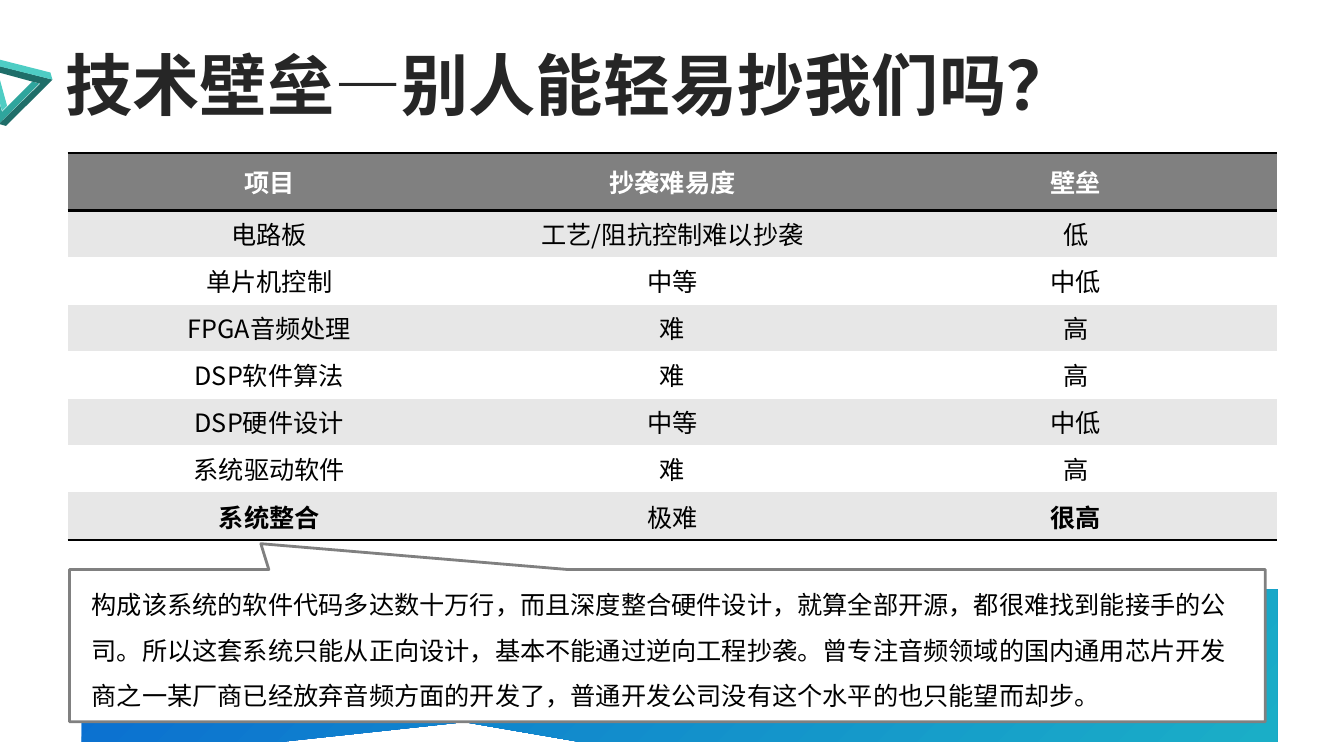
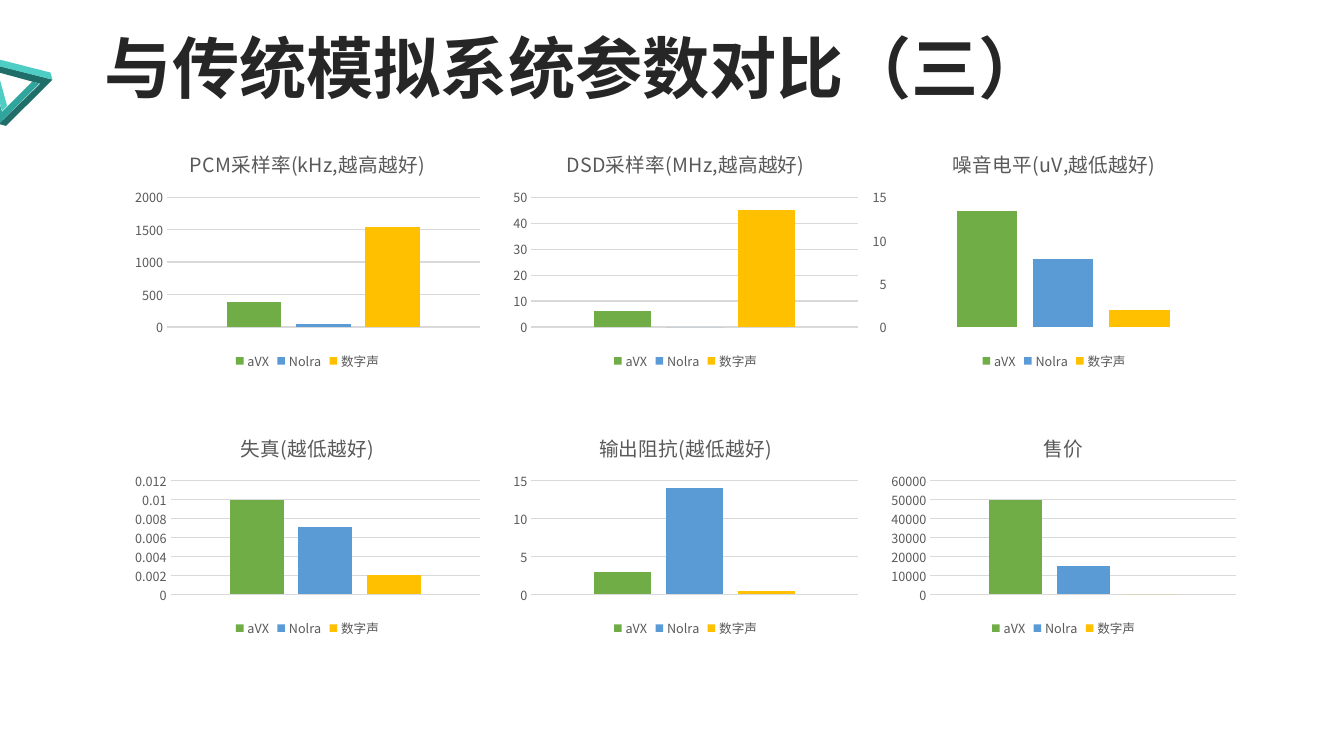
from dataclasses import dataclass

from lxml.etree import SubElement
from pptx import Presentation
from pptx.chart.data import CategoryChartData
from pptx.dml.color import RGBColor
from pptx.enum.chart import XL_CHART_TYPE as ChartType
from pptx.enum.chart import XL_LEGEND_POSITION as LegendPosition
from pptx.enum.chart import XL_TICK_LABEL_POSITION as LabelPosition
from pptx.enum.chart import XL_TICK_MARK as TickMark
from pptx.enum.shapes import MSO_SHAPE as Shape
from pptx.enum.text import MSO_ANCHOR as Anchor
from pptx.enum.text import MSO_AUTO_SIZE as AutoSize
from pptx.enum.text import PP_ALIGN as Align
from pptx.oxml import parse_xml
from pptx.oxml.ns import nsdecls, qn
from pptx.util import Pt

SCALE = 9144
PLAIN_TABLE = "{2D5ABB26-0587-4C30-8999-92F81FD0307C}"


@dataclass(frozen=True)
class Theme:
    """Colours, fonts and type sizes of the deck."""
    ink: str = "000000"
    paper: str = "FFFFFF"
    title: str = "262626"
    header: str = "808080"
    stripe: str = "E7E7E7"
    label: str = "595959"
    grid: str = "D9D9D9"
    emblem: tuple = ("2FA59D", "1F6E69", "4ECDC4")
    gradient: tuple = ("0A6CD1", "1AAEC7")
    series: tuple = ("70AD47", "5B9BD5", "FFC000")
    font: str = "Noto Sans CJK SC"
    title_font: str = "Arial"
    title_size: int = 48
    body_size: int = 18
    chart_title_size: int = 14
    chart_size: int = 10
    label_size: int = 9


THEME = Theme()

EMBLEM = (
    ((-13, 56), (-19, 61), (-1, 123), (39, 83), (32, 81), (2, 111)),
    ((-3, 65), (-1, 72), (32, 81), (40, 83), (-1, 123), (6, 125), (52, 79)),
    ((-13, 56), (2, 110), (7, 105), (-4, 65), (52, 79), (50, 72)),
)

BARRIERS = (
    ("项目", "抄袭难易度", "壁垒"),
    ("电路板", "工艺/阻抗控制难以抄袭", "低"),
    ("单片机控制", "中等", "中低"),
    ("FPGA音频处理", "难", "高"),
    ("DSP软件算法", "难", "高"),
    ("DSP硬件设计", "中等", "中低"),
    ("系统驱动软件", "难", "高"),
    ("系统整合", "极难", "很高"),
)

REMARK = (
    "构成该系统的软件代码多达数十万行，而且深度整合硬件设计，就算全部开源，"
    "都很难找到能接手的公司。所以这套系统只能从正向设计，基本不能通过逆向工程抄袭。"
    "曾专注音频领域的国内通用芯片开发商之一某厂商已经放弃音频方面的开发了，"
    "普通开发公司没有这个水平的也只能望而却步。"
)

MAKERS = ("aVX", "Nolra", "数字声")
COMPARISONS = (
    ("PCM采样率(kHz,越高越好)", (380, 40, 1540), True),
    ("DSD采样率(MHz,越高越好)", (6, 0, 45), True),
    ("噪音电平(uV,越低越好)", (13.4, 7.9, 2), False),
    ("失真(越低越好)", (0.01, 0.0071, 0.002), True),
    ("输出阻抗(越低越好)", (3, 14, 0.5), True),
    ("售价", (50000, 15000, 0), True),
)


def px(*lengths):
    """Turn px lengths into EMU."""
    return [length * SCALE for length in lengths]


def color(code):
    """Turn a hex code into a colour."""
    return RGBColor.from_string(code)


def set_font(font, size, code, bold=False, name=THEME.font):
    """Give a font its size, colour, weight and typefaces."""
    font.size = Pt(size)
    font.bold = bold
    font.color.rgb = color(code)
    font.name = name
    SubElement(font._element, qn("a:ea"), typeface=THEME.font)


def set_text(frame, text, size, code, bold=False, name=THEME.font):
    """Fill a text frame with one formatted paragraph."""
    frame.text = text
    para = frame.paragraphs[0]
    set_font(para.runs[0].font, size, code, bold, name)
    return para


def add_emblem(page):
    """Draw the folded triangle at the left edge."""
    for points, code in zip(EMBLEM, THEME.emblem):
        builder = page.shapes.build_freeform(*points[0], scale=SCALE)
        builder.add_line_segments(points[1:], close=True)
        fold = builder.convert_to_shape()
        fold.shadow.inherit = False
        fold.fill.solid()
        fold.fill.fore_color.rgb = color(code)
        fold.line.fill.background()


def add_page(deck, text, box, name):
    """Add a slide with its title and emblem."""
    page = deck.slides.add_slide(deck.slide_layouts[5])
    title = page.shapes.title
    title.left, title.top, title.width, title.height = px(*box)
    frame = title.text_frame
    frame.word_wrap = True
    frame.auto_size = AutoSize.NONE
    frame.vertical_anchor = Anchor.TOP
    para = set_text(frame, text, THEME.title_size, THEME.title, True, name)
    para.alignment = Align.LEFT
    para.line_spacing = 0.9
    add_emblem(page)
    return page


def add_rules(cell, sides):
    """Draw black rules on the given sides of a cell."""
    properties = cell._tc.get_or_add_tcPr()
    for index, side in enumerate(sides):
        properties.insert(index, parse_xml(
            f'<a:ln{side} {nsdecls("a")} w="{Pt(2)}"><a:solidFill>'
            f'<a:srgbClr val="{THEME.ink}"/></a:solidFill></a:ln{side}>'))


def add_barrier_table(page, box, header_height):
    """Place the striped table of copying barriers."""
    count = len(BARRIERS)
    table = page.shapes.add_table(count, len(BARRIERS[0]), *px(*box)).table
    table._tbl.tblPr.find(qn("a:tableStyleId")).text = PLAIN_TABLE
    body_height = box[3] - header_height
    edges = [0] + [header_height + body_height * step // (count - 1)
                   for step in range(count)]
    for index, texts in enumerate(BARRIERS):
        is_header, is_last = index == 0, index == count - 1
        table.rows[index].height = (edges[index + 1] - edges[index]) * SCALE
        fill = THEME.header if is_header else (THEME.paper, THEME.stripe)[index % 2]
        for column, text in enumerate(texts):
            cell = table.cell(index, column)
            cell.vertical_anchor = Anchor.MIDDLE
            cell.fill.solid()
            cell.fill.fore_color.rgb = color(fill)
            add_rules(cell, "TB" if is_header else "B" if is_last else "")
            bold = is_header or (is_last and column != 1)
            code = THEME.paper if is_header else THEME.ink
            para = set_text(cell.text_frame, text, THEME.body_size, code, bold)
            para.alignment = Align.CENTER


def add_callout(page, box, tip):
    """Add a rectangular callout pointing to a tip."""
    callout = page.shapes.add_shape(Shape.RECTANGULAR_CALLOUT, *px(*box))
    callout.shadow.inherit = False
    callout.adjustments[0], callout.adjustments[1] = tip
    return callout


def add_remark(page, box):
    """Place the remark callout over its gradient backing."""
    left, top, width, height = box
    backing = add_callout(page, (left + 12, top + 20, width, height), (-0.18, 0.37))
    backing.line.fill.background()
    backing.fill.gradient()
    backing.fill.gradient_angle = 315
    for stop, code, position in zip(backing.fill.gradient_stops, THEME.gradient, (0.02, 1)):
        stop.color.rgb = color(code)
        stop.position = position
    remark = add_callout(page, box, (-0.34, -0.67))
    remark.fill.solid()
    remark.fill.fore_color.rgb = color(THEME.paper)
    remark.line.color.rgb = color(THEME.header)
    remark.line.width = Pt(2)
    frame = remark.text_frame
    frame.word_wrap = True
    frame.vertical_anchor = Anchor.TOP
    frame.margin_left, frame.margin_right, frame.margin_top = px(22, 29, 5)
    para = set_text(frame, REMARK, THEME.body_size, THEME.ink)
    para.alignment = Align.LEFT
    para.line_spacing = 1.5


def add_comparison(page, box, title, values, has_grid):
    """Place one column chart comparing the makers."""
    data = CategoryChartData()
    data.categories = ["1"]
    for maker, value in zip(MAKERS, values):
        data.add_series(maker, [value])
    chart = page.shapes.add_chart(ChartType.COLUMN_CLUSTERED, *px(*box), data).chart
    set_font(chart.font, THEME.chart_size, THEME.ink)
    chart.has_title = True
    set_text(chart.chart_title.text_frame, title, THEME.chart_title_size, THEME.label)
    chart.chart_title.include_in_layout = False
    chart.has_legend = True
    chart.legend.position = LegendPosition.BOTTOM
    chart.legend.include_in_layout = False
    set_font(chart.legend.font, THEME.label_size, THEME.label)
    chart.category_axis.visible = False
    axis = chart.value_axis
    axis.major_tick_mark = axis.minor_tick_mark = TickMark.NONE
    axis.tick_label_position = LabelPosition.NEXT_TO_AXIS
    axis.format.line.fill.background()
    set_font(axis.tick_labels.font, THEME.label_size, THEME.label)
    axis.has_major_gridlines = has_grid
    if has_grid:
        axis.major_gridlines.format.line.color.rgb = color(THEME.grid)
        axis.major_gridlines.format.line.width = Pt(0.75)
    plot = chart.plots[0]
    plot.vary_by_categories = False
    plot.gap_width, plot.overlap = 219, -27
    for series, code in zip(plot.series, THEME.series):
        series.format.fill.solid()
        series.format.fill.fore_color.rgb = color(code)


def add_comparison_grid(page, left, step, width, bands):
    """Place the charts in three columns and two bands."""
    for index, (title, values, has_grid) in enumerate(COMPARISONS):
        row, column = divmod(index, 3)
        top, height = bands[row]
        extra = 0 if has_grid else 19
        box = (left + column * step - extra, top, width + extra, height)
        add_comparison(page, box, title, values, has_grid)


def main():
    """Build and save the deck."""
    deck = Presentation()
    deck.slide_width, deck.slide_height = px(1333, 750)
    page = add_page(deck, "技术壁垒—别人能轻易抄我们吗？", (55, 47, 1181, 91), THEME.font)
    add_barrier_table(page, (67, 152, 1200, 383), 57)
    add_remark(page, (69, 565, 1186, 151))
    page = add_page(deck, "与传统模拟系统参数对比（三）", (94, 30, 1146, 91), THEME.title_font)
    add_comparison_grid(page, 127, 375, 356, ((132, 239), (414, 222)))
    deck.save("out.pptx")


if __name__ == "__main__":
    main()
